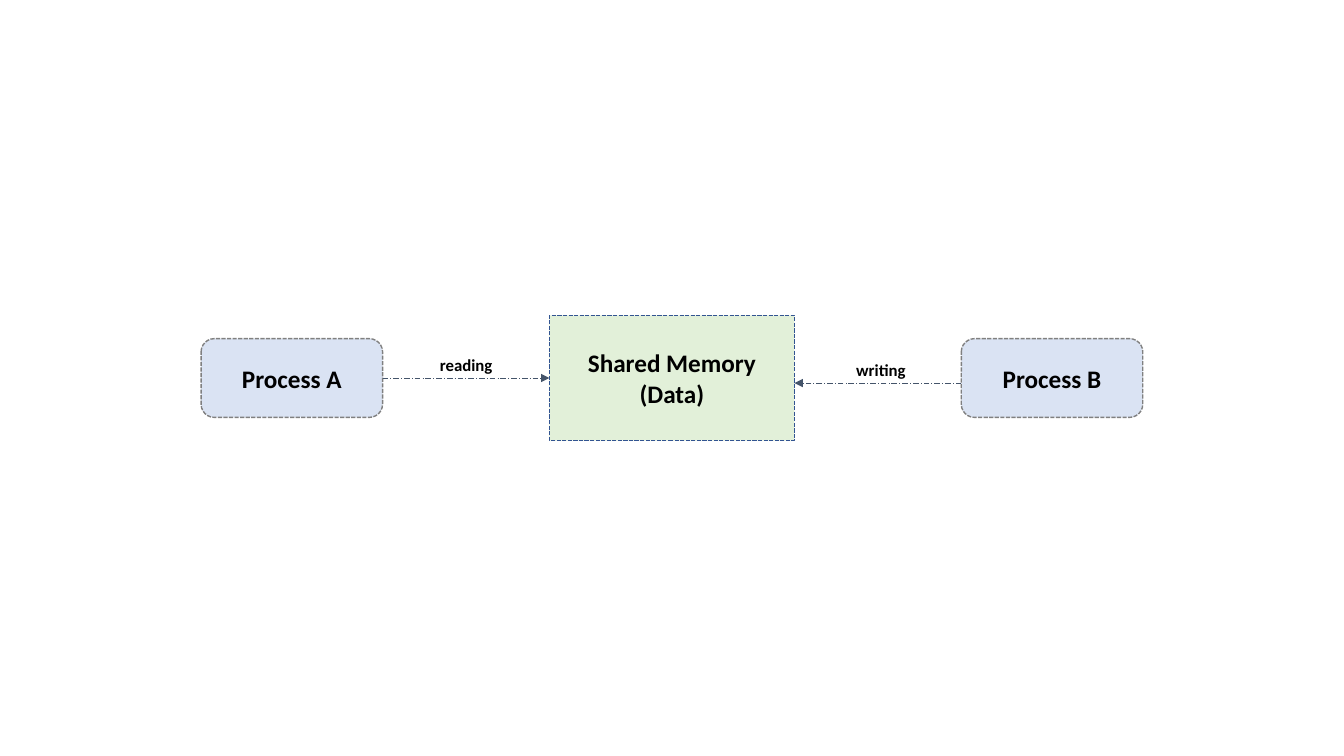
from dataclasses import dataclass

from pptx import Presentation
from pptx import util as u
from pptx.dml.color import RGBColor
from pptx.enum import dml, shapes, text
from pptx.oxml.ns import qn
from pptx.slide import Slide
from pptx.text.text import TextFrame
from lxml import etree


@dataclass(frozen=True)
class Theme:
    font: str = "Calibri"
    ink: str = "000000"
    blue: str = "DAE3F3"
    green: str = "E2F0D9"
    grey: str = "808080"
    navy: str = "325491"
    slate: str = "44546A"
    large: float = 18
    small: float = 12
    edge: float = 1
    thin: float = 0.5


@dataclass(frozen=True)
class Box:
    label: str
    mid: float
    width: float
    height: float
    kind: shapes.MSO_SHAPE
    fill: str
    line: str


@dataclass(frozen=True)
class Arrow:
    label: str
    start: float
    end: float
    level: float
    mid: float
    width: float


THEME = Theme()
WIDTH, HEIGHT = 960, 540
AXIS = HEIGHT / 2
CENTRE = WIDTH / 2
REACH = 271.5
SIDE, CORE = 129.6, 175
LIFT, TALL = 20.5, 21.6

ROUND = shapes.MSO_SHAPE.ROUNDED_RECTANGLE
BOXES = [
    Box("Process A", CENTRE - REACH, SIDE, 56.2, ROUND, THEME.blue, THEME.grey),
    Box("Process B", CENTRE + REACH, SIDE, 56.2, ROUND, THEME.blue, THEME.grey),
    Box("Shared Memory (Data)", CENTRE, CORE, 89.4,
        shapes.MSO_SHAPE.RECTANGLE, THEME.green, THEME.navy),
]
OUTER, INNER = REACH - SIDE / 2, CORE / 2
ARROWS = [
    Arrow("reading", CENTRE - OUTER, CENTRE - INNER, AXIS, 333, 62.6),
    Arrow("writing", CENTRE + OUTER, CENTRE + INNER, AXIS + 3.6, 629.3, 53.3),
]


def assign(item: object, values: dict[str, object]) -> None:
    for name, value in values.items():
        setattr(item, name, value)


def write(frame: TextFrame, label: str, size: float) -> None:
    assign(frame, {"text": label, "word_wrap": True})
    para = frame.paragraphs[0]
    para.alignment = text.PP_ALIGN.CENTER
    font = para.runs[0].font
    assign(font, {"name": THEME.font, "size": u.Pt(size), "bold": True})
    font.color.rgb = RGBColor.from_string(THEME.ink)


def draw_box(slide: Slide, box: Box) -> None:
    shape = slide.shapes.add_shape(
        box.kind, u.Pt(box.mid - box.width / 2), u.Pt(AXIS - box.height / 2),
        u.Pt(box.width), u.Pt(box.height))
    shape.shadow.inherit = False
    shape.fill.solid()
    shape.fill.fore_color.rgb = RGBColor.from_string(box.fill)
    shape.line.color.rgb = RGBColor.from_string(box.line)
    assign(shape.line, {"width": u.Pt(THEME.edge),
                        "dash_style": dml.MSO_LINE.SQUARE_DOT})
    shape.text_frame.vertical_anchor = text.MSO_ANCHOR.MIDDLE
    write(shape.text_frame, box.label, THEME.large)


def draw_arrow(slide: Slide, arrow: Arrow) -> None:
    link = slide.shapes.add_connector(
        shapes.MSO_CONNECTOR.STRAIGHT, u.Pt(arrow.start), u.Pt(arrow.level),
        u.Pt(arrow.end), u.Pt(arrow.level))
    link.line.color.rgb = RGBColor.from_string(THEME.slate)
    assign(link.line, {"width": u.Pt(THEME.thin),
                       "dash_style": dml.MSO_LINE.LONG_DASH_DOT})
    props = link._element.spPr
    etree.SubElement(props.find(qn("a:ln")), qn("a:tailEnd"), type="triangle")
    etree.SubElement(props, qn("a:effectLst"))
    note = slide.shapes.add_textbox(
        u.Pt(arrow.mid - arrow.width / 2), u.Pt(arrow.level - LIFT),
        u.Pt(arrow.width), u.Pt(TALL))
    write(note.text_frame, arrow.label, THEME.small)
    note.text_frame.auto_size = text.MSO_AUTO_SIZE.SHAPE_TO_FIT_TEXT


def main() -> None:
    deck = Presentation()
    assign(deck, {"slide_width": u.Pt(WIDTH), "slide_height": u.Pt(HEIGHT)})
    slide = deck.slides.add_slide(deck.slide_layouts[6])
    for box in BOXES:
        draw_box(slide, box)
    for arrow in ARROWS:
        draw_arrow(slide, arrow)
    deck.save("out.pptx")


if __name__ == "__main__":
    main()
